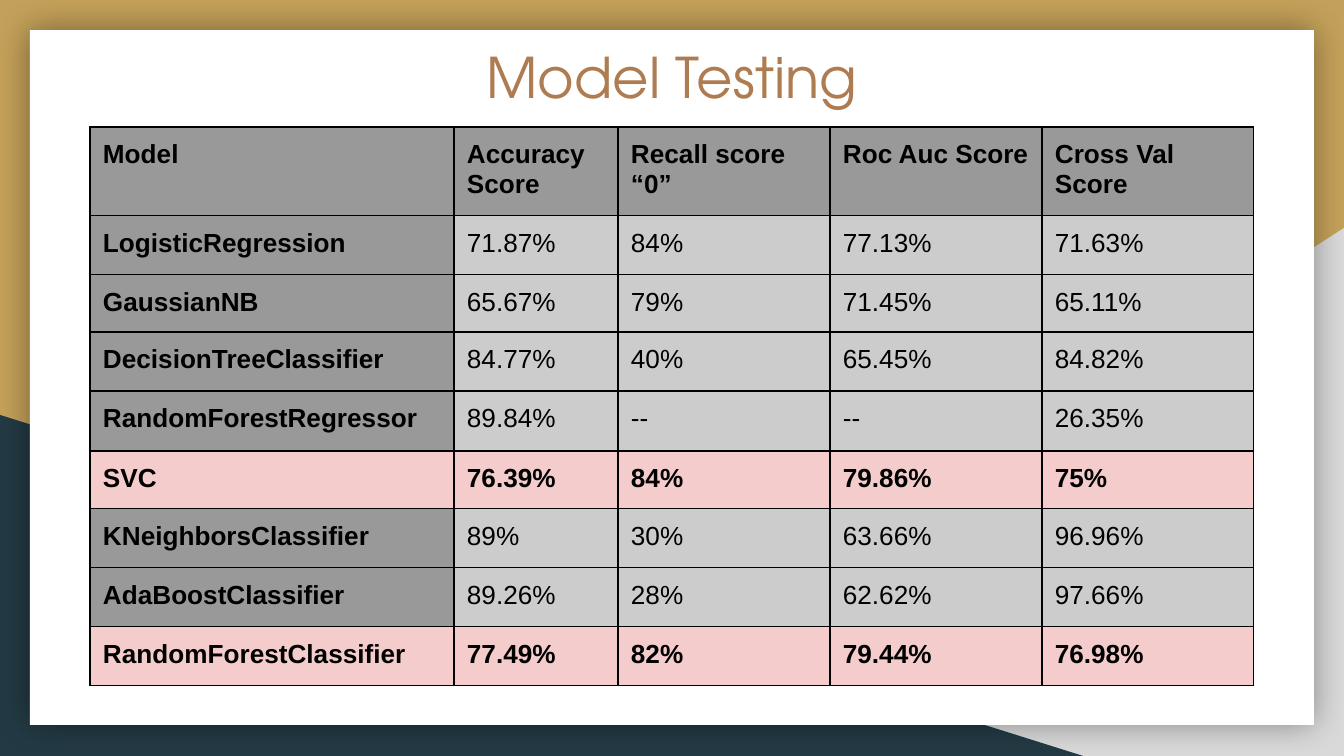
from dataclasses import dataclass
from typing import Any

from lxml.etree import SubElement
from pptx import Presentation
from pptx.dml.color import RGBColor as Color
from pptx.enum.shapes import MSO_SHAPE as Shape
from pptx.enum.text import MSO_ANCHOR as Anchor, PP_ALIGN as Align
from pptx.oxml import parse_xml
from pptx.oxml.ns import nsdecls, qn
from pptx.util import Emu, Pt

EMU_PER_PX = 914400 / 134.4


@dataclass(frozen=True)
class Theme:
    gold: str = "C4A15A"
    grey: str = "D9D9D9"
    navy: str = "233A44"
    white: str = "FFFFFF"
    copper: str = "AF7B51"
    black: str = "000000"
    header: str = "999999"
    body: str = "CCCCCC"
    highlight: str = "F4CCCC"
    title_font: str = "TeX Gyre Adventor"
    table_font: str = "Arial"
    title_size: int = 30
    table_size: int = 14
    border_width: float = 0.75
    inset: int = 13


@dataclass(frozen=True)
class Frame:
    left: int
    top: int
    width: int
    height: int


@dataclass(frozen=True)
class Panel:
    kind: Shape
    frame: Frame
    fill: str
    flipped: bool = False
    shadowed: bool = False


@dataclass(frozen=True)
class ModelRow:
    values: tuple[str, ...]
    height: int
    highlighted: bool = False


THEME = Theme()
PAGE_WIDTH, PAGE_HEIGHT = 1344, 756
TITLE_FRAME = Frame(399, 30, 546, 86)
TABLE_LEFT, TABLE_TOP = 90, 127
COLUMN_WIDTHS = (364, 164, 212, 212, 212)

PANELS = (
    Panel(Shape.RIGHT_TRIANGLE, Frame(527, 228, 817, 528), THEME.grey, flipped=True),
    Panel(Shape.RIGHT_TRIANGLE, Frame(0, 415, 1083, 341), THEME.navy),
    Panel(Shape.RECTANGLE, Frame(30, 30, 1284, 695), THEME.white, shadowed=True),
)

ROWS = (
    ModelRow(("Model", "Accuracy Score", "Recall score “0”", "Roc Auc Score",
              "Cross Val Score"), 86),
    ModelRow(("LogisticRegression", "71.87%", "84%", "77.13%", "71.63%"), 59),
    ModelRow(("GaussianNB", "65.67%", "79%", "71.45%", "65.11%"), 56),
    ModelRow(("DecisionTreeClassifier", "84.77%", "40%", "65.45%", "84.82%"), 59),
    ModelRow(("RandomForestRegressor", "89.84%", "--", "--", "26.35%"), 60),
    ModelRow(("SVC", "76.39%", "84%", "79.86%", "75%"), 56, True),
    ModelRow(("KNeighborsClassifier", "89%", "30%", "63.66%", "96.96%"), 59),
    ModelRow(("AdaBoostClassifier", "89.26%", "28%", "62.62%", "97.66%"), 59),
    ModelRow(("RandomForestClassifier", "77.49%", "82%", "79.44%", "76.98%"), 59, True),
)


def px(length: int) -> Emu:
    return Emu(round(length * EMU_PER_PX))


def place(frame: Frame) -> tuple[Emu, ...]:
    return px(frame.left), px(frame.top), px(frame.width), px(frame.height)


def apply(target: Any, values: dict[str, Any]) -> None:
    for name, value in values.items():
        setattr(target, name, value)


def paint(target: Any, colour: str) -> None:
    target.fill.solid()
    target.fill.fore_color.rgb = Color.from_string(colour)


def insets() -> dict[str, Emu]:
    return {f"margin_{side}": px(THEME.inset) for side in ("left", "right", "top", "bottom")}


def write(para: Any, text: str, colour: str, font: dict[str, Any]) -> None:
    span = para.add_run()
    span.text = text
    apply(span.font, font)
    span.font.color.rgb = Color.from_string(colour)


def add_glow_shadow(shape: Any) -> None:
    effects = shape.element.spPr.find(qn("a:effectLst"))
    effects.append(parse_xml(
        f'<a:outerShdw {nsdecls("a")} blurRad="{Pt(18)}" dist="0" dir="0" '
        f'algn="ctr" rotWithShape="0"><a:srgbClr val="{THEME.black}">'
        '<a:alpha val="40000"/></a:srgbClr></a:outerShdw>'))


def draw_panel(page: Any, panel: Panel) -> None:
    shape = page.shapes.add_shape(panel.kind, *place(panel.frame))
    shape.shadow.inherit = False
    paint(shape, panel.fill)
    shape.line.fill.background()
    if panel.flipped:
        shape.element.spPr.xfrm.set("flipH", "1")
    if panel.shadowed:
        add_glow_shadow(shape)


def draw_title(page: Any, text: str) -> None:
    box = page.shapes.add_textbox(*place(TITLE_FRAME))
    apply(box.text_frame, insets() | {"word_wrap": True, "vertical_anchor": Anchor.TOP})
    para = box.text_frame.paragraphs[0]
    para.alignment = Align.CENTER
    write(para, text, THEME.copper,
          {"name": THEME.title_font, "size": Pt(THEME.title_size)})


def add_borders(cell: Any) -> None:
    properties = cell._tc.get_or_add_tcPr()
    for index, side in enumerate(("lnL", "lnR", "lnT", "lnB")):
        properties.insert(index, parse_xml(
            f'<a:{side} {nsdecls("a")} w="{Pt(THEME.border_width)}"><a:solidFill>'
            f'<a:srgbClr val="{THEME.black}"/></a:solidFill></a:{side}>'))


def draw_cell(cell: Any, text: str, fill: str, bold: bool) -> None:
    apply(cell, insets() | {"vertical_anchor": Anchor.TOP})
    paint(cell, fill)
    add_borders(cell)
    write(cell.text_frame.paragraphs[0], text, THEME.black,
          {"name": THEME.table_font, "size": Pt(THEME.table_size), "bold": bold})


def draw_table(page: Any, rows: tuple[ModelRow, ...]) -> None:
    frame = Frame(TABLE_LEFT, TABLE_TOP, sum(COLUMN_WIDTHS), sum(row.height for row in rows))
    table = page.shapes.add_table(len(rows), len(COLUMN_WIDTHS), *place(frame)).table
    apply(table, {"first_row": False, "horz_banding": False})
    for column, width in zip(table.columns, COLUMN_WIDTHS):
        column.width = px(width)
    for row_index, row in enumerate(rows):
        table.rows[row_index].height = px(row.height)
        for column_index, text in enumerate(row.values):
            heading = row_index == 0 or column_index == 0
            fill = THEME.header if heading else THEME.body
            draw_cell(table.cell(row_index, column_index), text,
                      THEME.highlight if row.highlighted else fill,
                      heading or row.highlighted)


def main() -> None:
    deck = Presentation()
    apply(deck, {"slide_width": px(PAGE_WIDTH), "slide_height": px(PAGE_HEIGHT)})
    page = deck.slides.add_slide(deck.slide_layouts[6])

    # Backdrop
    paint(page.background, THEME.gold)
    for panel in PANELS:
        draw_panel(page, panel)

    # Title and scores
    draw_title(page, "Model Testing")
    draw_table(page, ROWS)

    deck.save("out.pptx")


if __name__ == "__main__":
    main()
